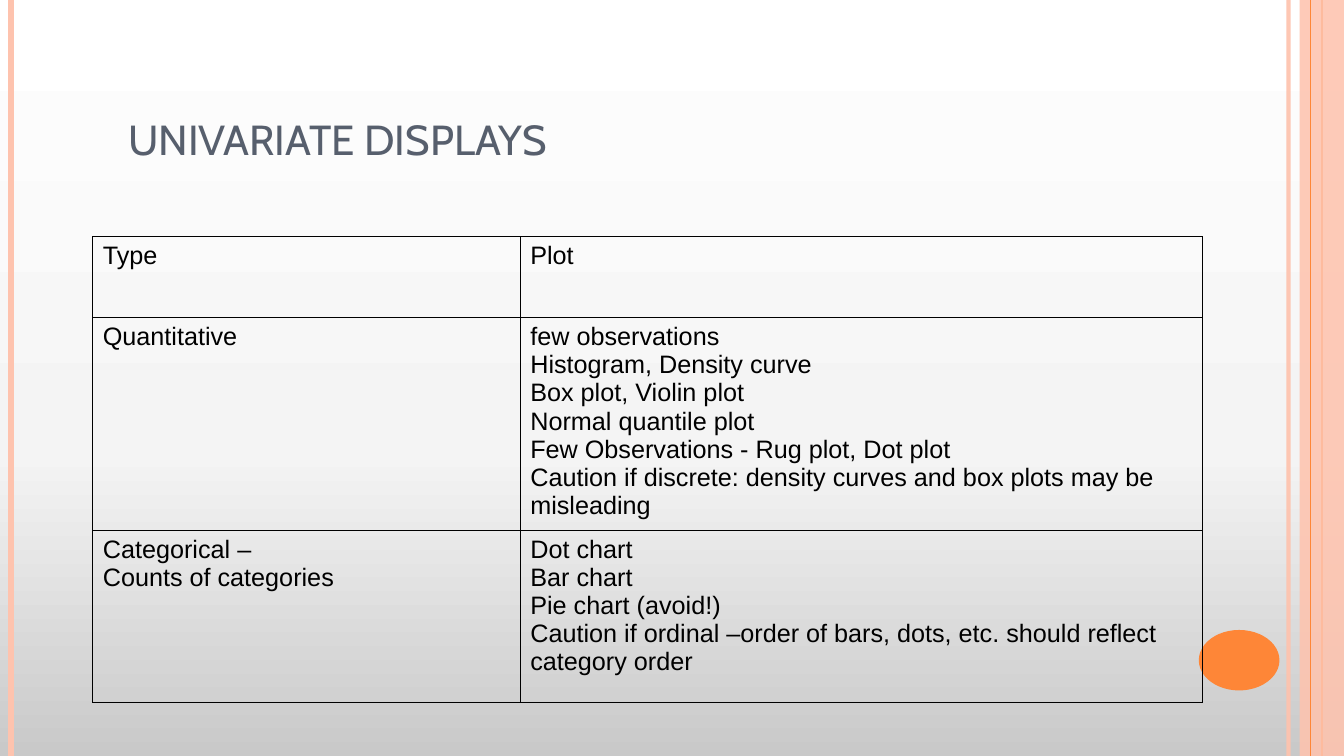
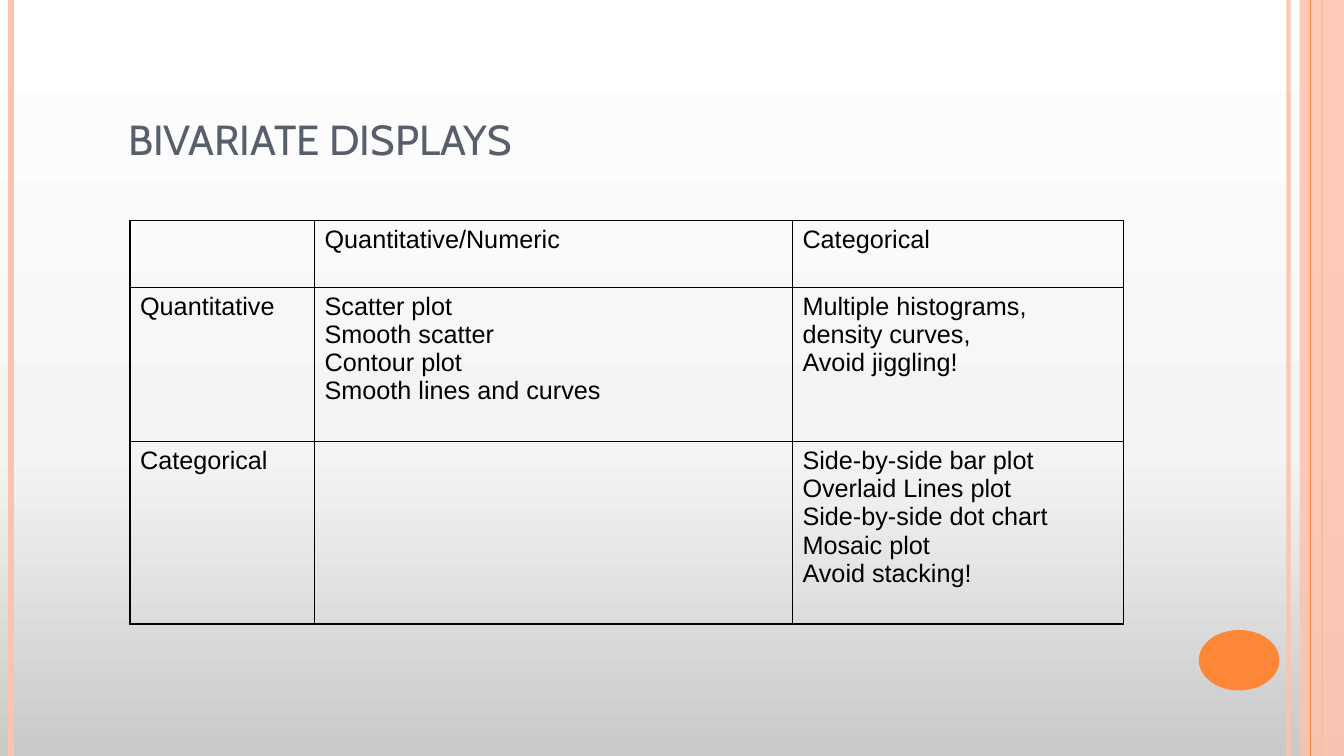
import copy

import pptx
import pptx.dml.color
import pptx.enum.dml
import pptx.enum.shapes
import pptx.enum.text
import pptx.oxml
import pptx.oxml.ns
import pptx.util
from lxml import etree

Inches = pptx.util.Inches
Pt = pptx.util.Pt
RGBColor = pptx.dml.color.RGBColor
qn = pptx.oxml.ns.qn

PEACH = RGBColor(0xFE, 0xC3, 0xAE)
ORANGE = RGBColor(0xFE, 0x86, 0x37)
SLATE = RGBColor(0x57, 0x5F, 0x6D)
BLACK = RGBColor(0, 0, 0)
BACKGROUND_STOPS = [
    (0, RGBColor(0xC9, 0xC9, 0xC9)),
    (0.4, RGBColor(0xF4, 0xF4, 0xF4)),
    (1, RGBColor(0xFF, 0xFF, 0xFF)),
]

TITLE_FONT = "Cabin"
BODY_FONT = "Arial"
SLIDE_WIDTH = 13.33
SLIDE_HEIGHT = 7.5
TITLE_ONLY = 5

UNIVARIATE_ROWS = [
    ["Type", "Plot"],
    ["Quantitative",
     "few observations\n"
     "Histogram, Density curve\n"
     "Box plot, Violin plot\n"
     "Normal quantile plot\n"
     "Few Observations - Rug plot, Dot plot\n"
     "Caution if discrete: density curves and box plots may be misleading"],
    ["Categorical –\nCounts of categories",
     "Dot chart\n"
     "Bar chart\n"
     "Pie chart (avoid!)\n"
     "Caution if ordinal –order of bars, dots, etc. should reflect category order"],
]
BIVARIATE_ROWS = [
    ["", "Quantitative/Numeric", "Categorical"],
    ["Quantitative",
     "Scatter plot\nSmooth scatter\nContour plot\nSmooth lines and curves",
     "Multiple histograms, density curves,\nAvoid jiggling!"],
    ["Categorical", "",
     "Side-by-side bar plot\n"
     "Overlaid Lines plot\n"
     "Side-by-side dot chart\n"
     "Mosaic plot\n"
     "Avoid stacking!"],
]


def set_background(master):
    fill = master.background.fill
    fill.gradient()
    fill.gradient_angle = 90
    stop_list = master.element.find(".//" + qn("a:gsLst"))
    stop_list.insert(1, copy.deepcopy(stop_list[0]))
    for stop, (position, color) in zip(fill.gradient_stops, BACKGROUND_STOPS):
        stop.position = position
        stop.color.rgb = color


def set_opacity(shape, percent):
    color = shape.element.spPr.find(".//" + qn("a:srgbClr"))
    etree.SubElement(color, qn("a:alpha"), val=str(percent * 1000))


def add_rule(slide, x, color, width):
    """Add a vertical line over the full slide height."""
    rule = slide.shapes.add_connector(
        pptx.enum.shapes.MSO_CONNECTOR.STRAIGHT,
        Inches(x), 0, Inches(x), Inches(SLIDE_HEIGHT))
    rule.line.color.rgb = color
    rule.line.width = Pt(width)
    etree.SubElement(rule.element.spPr, qn("a:effectLst"))
    return rule


def add_plain_shape(slide, kind, left, top, width, height, color):
    shape = slide.shapes.add_shape(
        kind, Inches(left), Inches(top), Inches(width), Inches(height))
    shape.shadow.inherit = False
    shape.fill.solid()
    shape.fill.fore_color.rgb = color
    shape.line.fill.background()
    return shape


def decorate_layout(layout, slide):
    """Draw the side bands on a slide and move them behind the layout's placeholders."""
    kinds = pptx.enum.shapes.MSO_SHAPE
    right_rule = add_rule(slide, 12.78, PEACH, 3)
    set_opacity(right_rule, 93)
    left_rule = add_rule(slide, 0.11, PEACH, 4.5)
    covered_rule = add_rule(slide, 13.11, ORANGE, 1.5)
    band = add_plain_shape(slide, kinds.RECTANGLE, 12.89, 0, 0.44, SLIDE_HEIGHT, PEACH)
    set_opacity(band, 87)
    band_rule = add_rule(slide, 13, ORANGE, 0.75)
    disc = add_plain_shape(slide, kinds.OVAL, 11.89, 6.25, 0.8, 0.6, ORANGE)

    decorations = [right_rule, left_rule, covered_rule, band, band_rule, disc]
    for index, shape in enumerate(decorations):
        shape.element.xpath("./*/p:cNvPr")[0].set("id", str(100 + index))
        layout.shapes.element.insert(2 + index, shape.element)


def set_title(slide, text):
    title = slide.shapes.title
    title.left, title.top = Inches(1.17), Inches(0.53)
    title.width, title.height = Inches(11), Inches(1.76)
    frame = title.text_frame
    frame.text = text
    frame.vertical_anchor = pptx.enum.text.MSO_ANCHOR.MIDDLE
    paragraph = frame.paragraphs[0]
    paragraph.alignment = pptx.enum.text.PP_ALIGN.LEFT
    paragraph.line_spacing = 0.9
    paragraph.font.name = TITLE_FONT
    paragraph.font.size = Pt(30)
    paragraph.font.color.rgb = SLATE


def add_borders(cell):
    properties = cell._tc.get_or_add_tcPr()
    for side in ("lnL", "lnR", "lnT", "lnB"):
        border = etree.SubElement(properties, qn("a:" + side), w=str(Pt(1)))
        fill = etree.SubElement(border, qn("a:solidFill"))
        etree.SubElement(fill, qn("a:srgbClr"), val=str(BLACK))


def fill_cell(cell, text):
    add_borders(cell)
    cell.fill.background()
    cell.text = text
    for paragraph in cell.text_frame.paragraphs:
        paragraph.font.name = BODY_FONT
        paragraph.font.size = Pt(18)
        paragraph.font.color.rgb = BLACK


def add_grid(slide, left, top, column_widths, row_heights, rows):
    table = slide.shapes.add_table(
        len(rows), len(column_widths), Inches(left), Inches(top),
        Inches(sum(column_widths)), Inches(sum(row_heights))).table
    table.first_row = False
    table.horz_banding = False
    for column, width in zip(table.columns, column_widths):
        column.width = Inches(width)
    for row, height, texts in zip(table.rows, row_heights, rows):
        row.height = Inches(height)
        for cell, text in zip(row.cells, texts):
            fill_cell(cell, text)


def main():
    presentation = pptx.Presentation()
    presentation.slide_width = Inches(SLIDE_WIDTH)
    presentation.slide_height = Inches(SLIDE_HEIGHT)
    set_background(presentation.slide_master)
    layout = presentation.slide_layouts[TITLE_ONLY]

    univariate = presentation.slides.add_slide(layout)
    decorate_layout(layout, univariate)
    set_title(univariate, "UNIVARIATE DISPLAYS")
    add_grid(univariate, 0.92, 2.35, [4.24, 6.77], [0.8, 2.11, 1.71], UNIVARIATE_ROWS)

    bivariate = presentation.slides.add_slide(layout)
    set_title(bivariate, "BIVARIATE DISPLAYS")
    add_grid(bivariate, 1.29, 2.19, [1.83, 4.74, 3.28], [0.66, 1.53, 1.81], BIVARIATE_ROWS)

    presentation.save("out.pptx")


if __name__ == "__main__":
    main()
